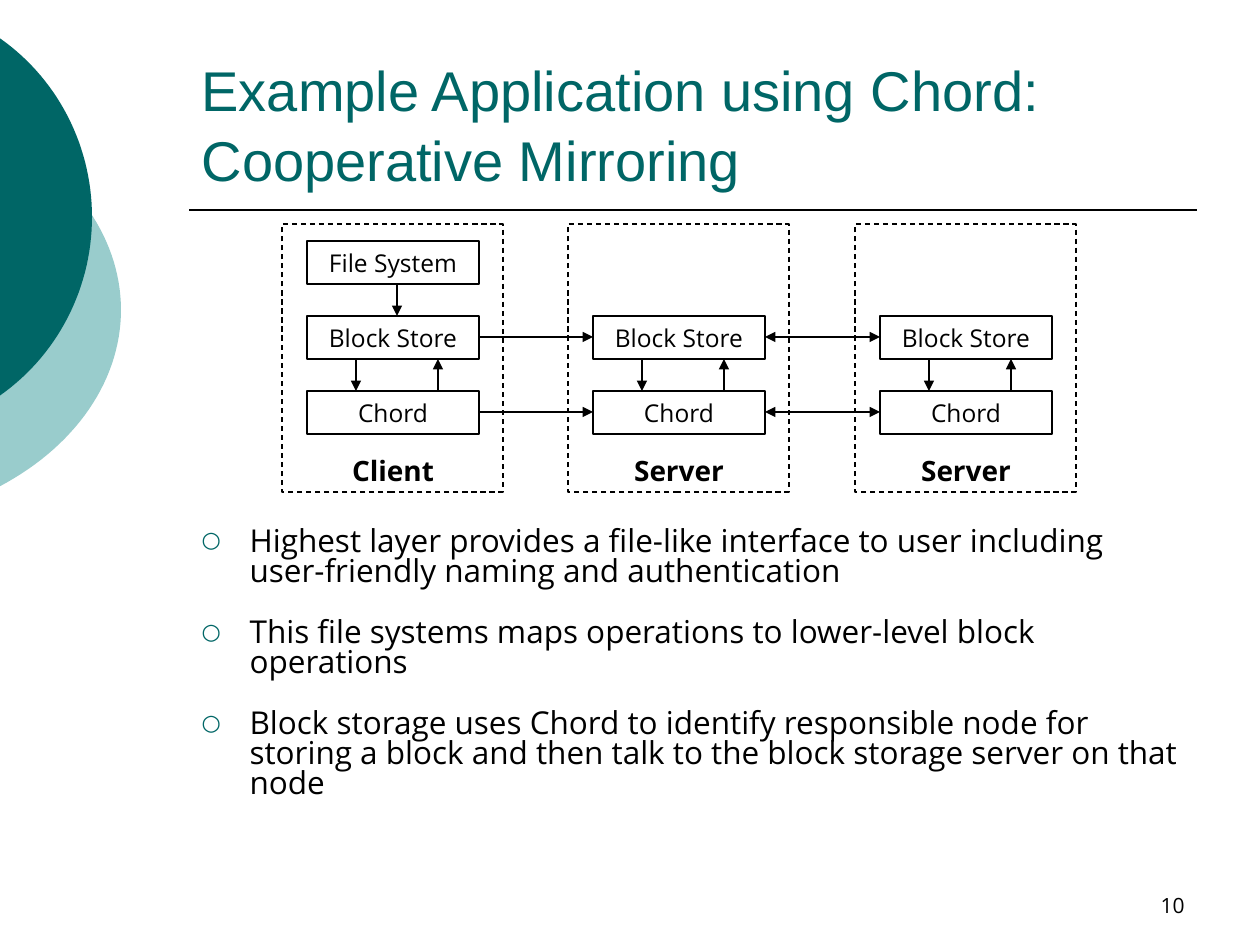
from math import acos, cos, sin

from lxml import etree
from pptx import Presentation
from pptx.dml.color import RGBColor
from pptx.enum.dml import MSO_LINE
from pptx.enum.shapes import MSO_CONNECTOR, MSO_SHAPE
from pptx.enum.text import MSO_ANCHOR, MSO_AUTO_SIZE, PP_ALIGN
from pptx.oxml.ns import qn
from pptx.util import Emu, Pt

SCALE = 914400 / 126
BLACK = RGBColor(0x00, 0x00, 0x00)
TEAL = RGBColor(0x00, 0x66, 0x66)
PALE = RGBColor(0x99, 0xCC, 0xCC)
SANS, HEAD = "Open Sans", "Arial"
LEFT, MID, RIGHT = PP_ALIGN.LEFT, PP_ALIGN.CENTER, PP_ALIGN.RIGHT
CENTRE, LOW, TOP = MSO_ANCHOR.MIDDLE, MSO_ANCHOR.BOTTOM, MSO_ANCHOR.TOP
DASH, RECT, LINE = MSO_LINE.DASH, MSO_SHAPE.RECTANGLE, MSO_CONNECTOR.STRAIGHT
FIXED = MSO_AUTO_SIZE.NONE

NODES = ["Client", "Server", "Server"]
LAYERS = ["File System", "Block Store", "Chord"]
BOX_W, BOX_H = 172, 43
POINTS = [
    "Highest layer provides a file-like interface to user including "
    "user-friendly naming and authentication",
    "This file systems maps operations to lower-level block operations",
    "Block storage uses Chord to identify responsible node for storing a "
    "block and then talk to the block storage server on that node",
]


def px(*vals):
    """Turn pixels into EMU."""
    return [Emu(round(v * SCALE)) for v in vals]


def node_x(col):
    """Left edge of a node's frame."""
    return 282 + 573 * col // 2


def layer_y(row):
    """Top edge of a layer's box."""
    return 241 + 75 * row


def write(shape, *paras, size=14, font=SANS, color=BLACK, bold=False,
          align=MID, anchor=CENTRE, wrap=False, lead=None, gap=0):
    """Fill a shape with formatted paragraphs."""
    frame = shape.text_frame
    frame.auto_size = FIXED
    frame.word_wrap = wrap
    frame.vertical_anchor = anchor
    for i, text in enumerate(paras):
        para = frame.add_paragraph() if i else frame.paragraphs[0]
        para.text = text
        para.alignment = align
        para.line_spacing = lead
        para.space_before = para.space_after = Pt(gap)
        for run in para.runs:
            run.font.size, run.font.name = Pt(size), font
            run.font.bold = bold
            run.font.color.rgb = color


def place(shape, *area):
    """Move and size a placeholder."""
    shape.left, shape.top, shape.width, shape.height = px(*area)
    return shape


def bullet(para):
    """Give a paragraph a teal ring bullet and a hanging indent."""
    props = para._p.get_or_add_pPr()
    indent = px(48)[0]
    props.set("marL", str(indent))
    props.set("indent", str(-indent))
    tint = etree.SubElement(props, qn("a:buClr"))
    etree.SubElement(tint, qn("a:srgbClr"), val=str(TEAL))
    etree.SubElement(props, qn("a:buSzPct"), val="70000")
    etree.SubElement(props, qn("a:buFont"), typeface=SANS)
    etree.SubElement(props, qn("a:buChar"), char="○")


def box(slide, *area, dash=None):
    """Draw an unfilled rectangle."""
    shape = slide.shapes.add_shape(RECT, *px(*area))
    shape.shadow.inherit = False
    shape.fill.background()
    shape.line.color.rgb = BLACK
    shape.line.width = Pt(0.75)
    if dash:
        shape.line.dash_style = dash
    return shape


def line(slide, *ends, width=0.75, head=False, tail=False):
    """Draw a line, with an arrowhead at either end if asked."""
    shape = slide.shapes.add_connector(LINE, *px(*ends))
    shape.line.color.rgb = BLACK
    shape.line.width = Pt(width)
    stroke = shape.line._get_or_add_ln()
    for tag, shown in (("a:headEnd", head), ("a:tailEnd", tail)):
        if shown:
            etree.SubElement(stroke, qn(tag), type="triangle")
    etree.SubElement(shape._element.spPr, qn("a:effectLst"))


def arc(slide, mid_x, mid_y, rad_x, rad_y, color):
    """Draw the part of an ellipse to the right of the slide's left edge."""
    turn, steps = acos(-mid_x / rad_x), 60
    angles = [turn * (2 * i / steps - 1) for i in range(steps + 1)]
    dots = [px(mid_x + rad_x * cos(a), mid_y + rad_y * sin(a)) for a in angles]
    path = slide.shapes.build_freeform(*dots[0])
    path.add_line_segments(dots[1:], close=True)
    shape = path.convert_to_shape()
    shape.shadow.inherit = False
    shape.fill.solid()
    shape.fill.fore_color.rgb = color
    shape.line.fill.background()


def label(slide, text, *area, **style):
    """Add a text box."""
    write(slide.shapes.add_textbox(*px(*area)), text, **style)


def node(slide, col, name):
    """Draw one node: frame, layers, name and inner arrows."""
    left = node_x(col)
    inner = left + 25
    box(slide, left, 224, 221, 268, dash=DASH)
    for row, layer in enumerate(LAYERS):
        if row or not col:
            write(box(slide, inner, layer_y(row), BOX_W, BOX_H), layer)
    label(slide, name, inner, 460, BOX_W, 21, size=16, bold=True)
    ends = layer_y(1) + BOX_H, layer_y(2)
    for shift, up in ((49, False), (131, True)):
        x = inner + shift
        line(slide, x, ends[0], x, ends[1], head=up, tail=not up)


def links(slide):
    """Join the layers of neighbouring nodes."""
    for col in range(len(NODES) - 1):
        start, end = node_x(col) + 25 + BOX_W, node_x(col + 1) + 25
        for row in (1, 2):
            y = layer_y(row) + BOX_H // 2
            line(slide, start, y, end, y, head=col > 0, tail=True)
    x = node_x(0) + 115
    line(slide, x, layer_y(0) + BOX_H, x, layer_y(1), tail=True)


def main():
    """Build the slide and save it."""
    deck = Presentation()
    deck.slide_width, deck.slide_height = px(1260, 945)
    slide = deck.slides.add_slide(deck.slide_layouts[1])
    title, body = slide.placeholders
    arc(slide, -162, 310, 283, 215, PALE)
    arc(slide, -121, 217, 213, 217, TEAL)
    line(slide, 189, 210, 1197, 210, width=1)
    write(place(title, 189, 42, 1008, 157),
          "Example Application using Chord:\vCooperative Mirroring", size=32,
          font=HEAD, color=TEAL, align=LEFT, anchor=LOW, wrap=True, lead=1.04)
    write(place(body, 189, 522, 1008, 333), *POINTS, size=18, align=LEFT,
          anchor=TOP, wrap=True, lead=0.79, gap=9)
    for para in body.text_frame.paragraphs:
        bullet(para)
    for col, name in enumerate(NODES):
        node(slide, col, name)
    links(slide)
    label(slide, "10", 903, 861, 294, 63, size=12, align=RIGHT, anchor=LOW,
          wrap=True)
    deck.save("out.pptx")


main()
